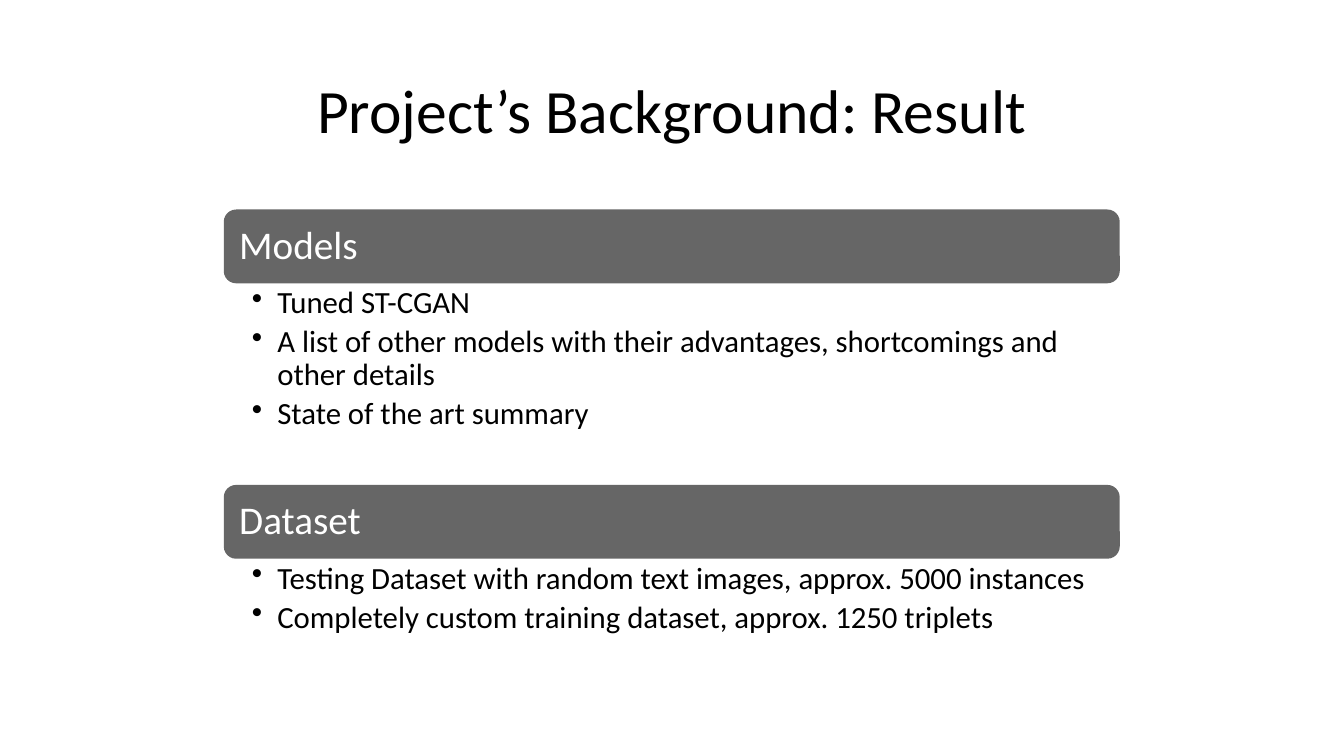
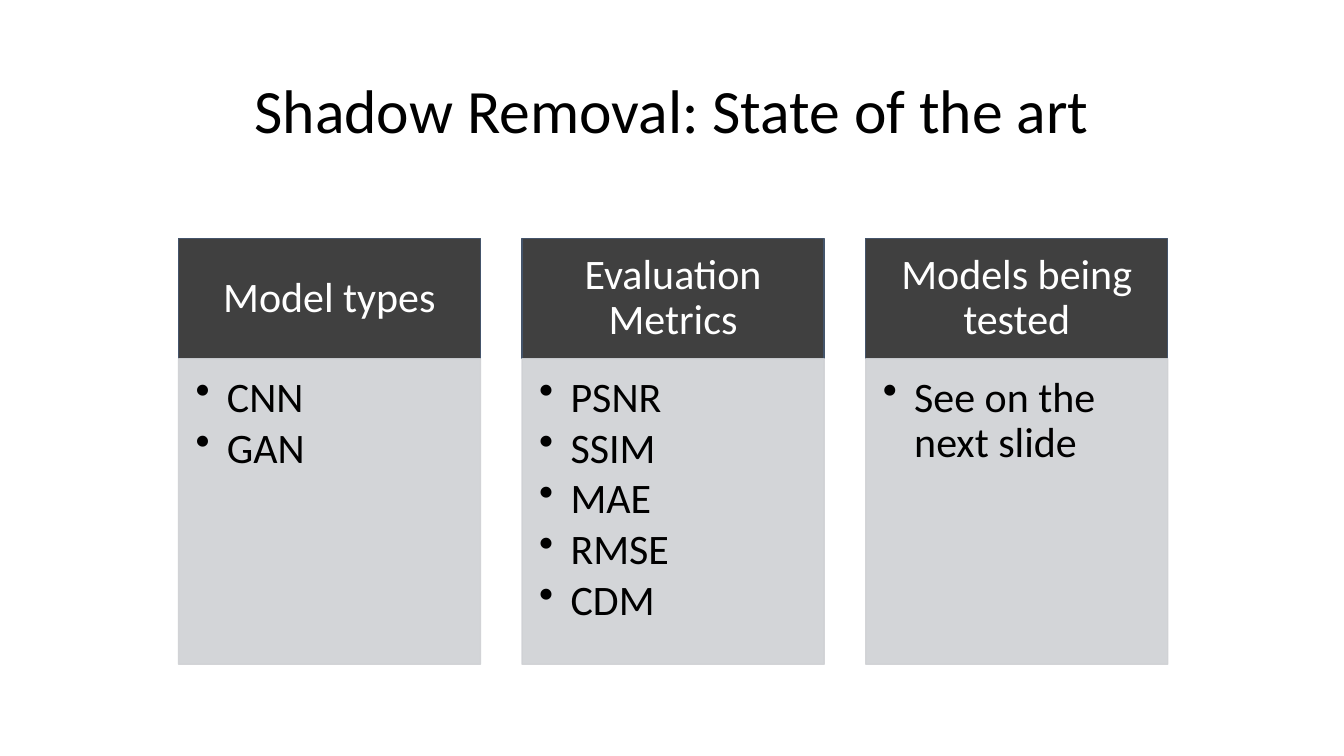
"""Build two slides: project results as stacked sections and shadow removal as columns."""
from lxml import etree
from pptx import Presentation
from pptx.dml.color import RGBColor
from pptx.enum import shapes, text
from pptx.oxml import ns
from pptx.util import Cm, Pt

INK, WHITE = "000000", "FFFFFF"
SECTION_GREY, HEADER_GREY, PANEL_GREY, HEADER_EDGE = "666666", "404040", "CFD1D4", "44546A"
LEFT, CENTER = text.PP_ALIGN.LEFT, text.PP_ALIGN.CENTER
TOP, MIDDLE = text.MSO_ANCHOR.TOP, text.MSO_ANCHOR.MIDDLE
RECTANGLE = shapes.MSO_SHAPE.RECTANGLE
ROUNDED = shapes.MSO_SHAPE.ROUNDED_RECTANGLE

SECTIONS = [
    ("Models", ["Tuned ST-CGAN",
                "A list of other models with their advantages, shortcomings and other details",
                "State of the art summary"]),
    ("Dataset", ["Testing Dataset with random text images, approx. 5000 instances",
                 "Completely custom training dataset, approx. 1250 triplets"]),
]
COLUMNS = [
    ("Model types", ["CNN", "GAN"]),
    ("Evaluation Metrics", ["PSNR", "SSIM", "MAE", "RMSE", "CDM"]),
    ("Models being tested", ["See on the next slide"]),
]


def add_box(slide, kind, left, top, width, height, fill=None, line=None, alpha=None):
    shape = slide.shapes.add_shape(kind, Cm(left), Cm(top), Cm(width), Cm(height))
    shape.shadow.inherit = False
    for part, colour in ((shape.fill, fill), (shape.line.fill, line)):
        if colour is None:
            part.background()
            continue
        part.solid()
        part.fore_color.rgb = RGBColor.from_string(colour)
    if line:
        shape.line.width = Pt(1)
    if alpha:
        for colour in shape.element.spPr.iter(ns.qn("a:srgbClr")):
            etree.SubElement(colour, ns.qn("a:alpha"), val=str(alpha * 1000))
    return shape


def write(shape, lines, size, colour, align, anchor, margins, after=0, indent=None):
    frame = shape.text_frame
    sides = ("margin_left", "margin_top", "margin_right", "margin_bottom")
    layout = dict(zip(sides, map(Cm, margins)), word_wrap=True, vertical_anchor=anchor)
    for name, value in layout.items():
        setattr(frame, name, value)
    frame.text = "\n".join(lines)
    for paragraph in frame.paragraphs:
        spacing = {"alignment": align, "line_spacing": 0.9, "space_after": Pt(after)}
        for name, value in spacing.items():
            setattr(paragraph, name, value)
        for name, value in {"name": "Calibri", "size": Pt(size)}.items():
            setattr(paragraph.font, name, value)
        paragraph.font.color.rgb = RGBColor.from_string(colour)
        if indent:
            properties = paragraph._p.get_or_add_pPr()
            properties.set("marL", str(Cm(indent)))
            properties.set("indent", str(-Cm(indent)))
            bullet = etree.Element(ns.qn("a:buChar"), char="•")
            properties.insert_element_before(bullet, "a:tabLst", "a:defRPr", "a:extLst")


presentation = Presentation()
presentation.slide_width, presentation.slide_height = Cm(33.87), Cm(19.05)

slides = []
for heading in ("Project’s Background: Result", "Shadow Removal: State of the art"):
    slide = presentation.slides.add_slide(presentation.slide_layouts[5])
    title = slide.shapes.title
    place = {"left": 2.33, "top": 1.02, "width": 29.21, "height": 3.68}
    for name, value in place.items():
        setattr(title, name, Cm(value))
    write(title, [heading], 44, INK, CENTER, MIDDLE, (0.25, 0.13, 0.25, 0.13))
    slides.append(slide)
result_slide, art_slide = slides

section_left, section_width, bar_height = 5.64, 22.58, 1.86
for row, (heading, points) in enumerate(SECTIONS):
    top = 5.28 + row * 6.94
    bar = add_box(result_slide, ROUNDED, section_left, top, section_width, bar_height, SECTION_GREY)
    write(bar, [heading], 28, WHITE, LEFT, MIDDLE, (0.3, 0.3, 0.3, 0.3))
    body = result_slide.shapes.add_textbox(
        Cm(section_left), Cm(top + bar_height), Cm(section_width), Cm(6.94 - bar_height))
    write(body, points, 22, INK, LEFT, TOP, (0.71, 0.1, 0.56, 0.1), 4, 0.64)

column_width, column_gap, header_top, header_height = 7.61, 1.05, 6.01, 3.03
for number, (heading, points) in enumerate(COLUMNS):
    left = 4.5 + number * (column_width + column_gap)
    header = add_box(art_slide, RECTANGLE, left, header_top, column_width, header_height,
                     HEADER_GREY, HEADER_EDGE)
    write(header, [heading], 30, WHITE, CENTER, MIDDLE, (0.58, 0.33, 0.58, 0.33))
    panel = add_box(art_slide, RECTANGLE, left, header_top + header_height, column_width, 7.7,
                    PANEL_GREY, PANEL_GREY, 90)
    write(panel, points, 30, INK, LEFT, TOP, (0.43, 0.43, 0.58, 0.66), 4, 0.79)

presentation.save("out.pptx")
